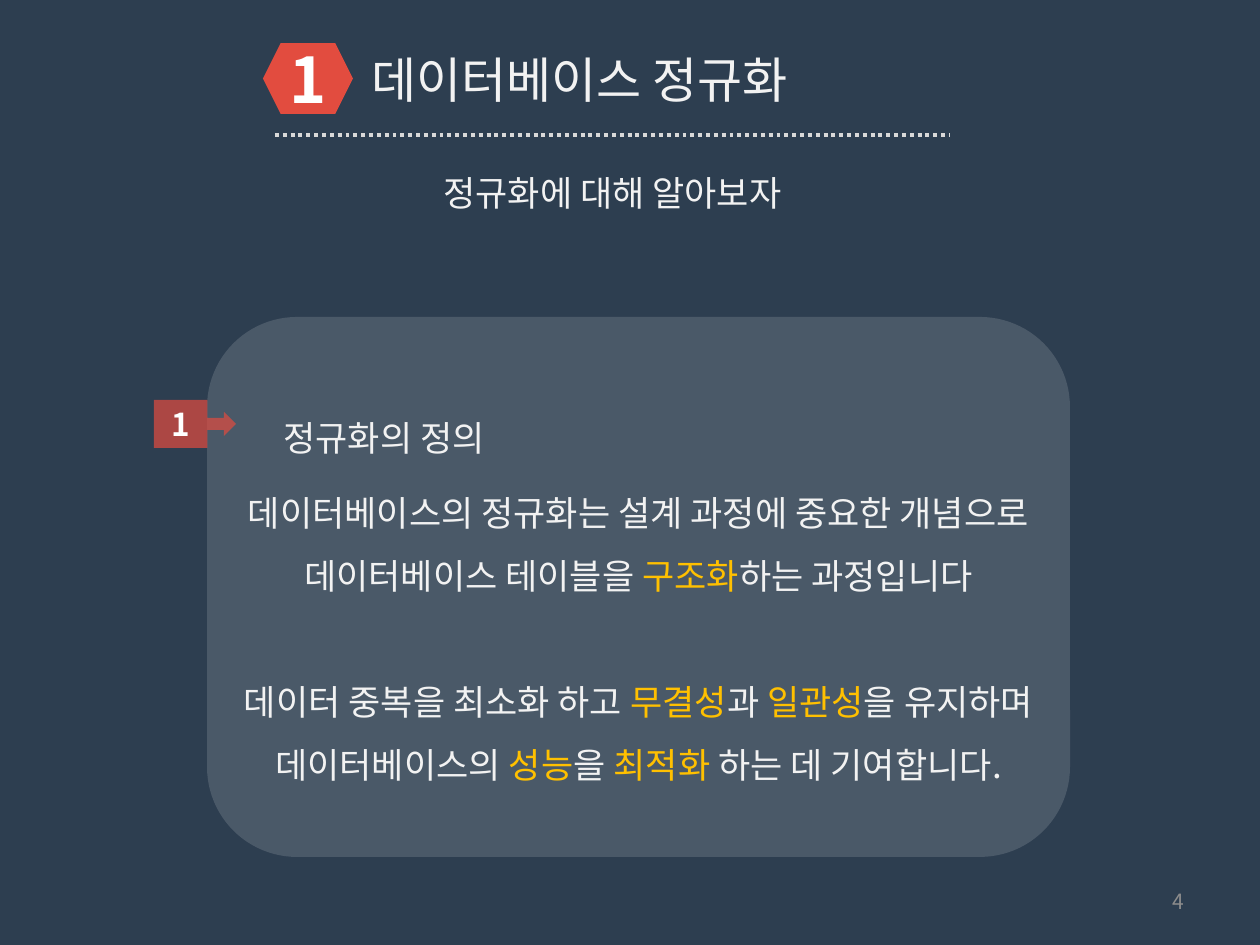
"""Build the slide that defines database normalization."""
from lxml import etree
from pptx import Presentation, util as u
from pptx.dml.color import RGBColor
from pptx.enum import dml, shapes, text
from pptx.oxml.ns import qn

FACE = "Noto Sans CJK KR"
HUES = {"back": "2D3E50", "red": "E24C3F", "white": "FFFFFF", "pale": "F2F2F2",
        "gold": "FFC000", "rule": "D9D9D9", "gray": "8C8C8C"}
KIND, SIDE = shapes.MSO_SHAPE, text.PP_ALIGN
MID, TOP = text.MSO_ANCHOR.MIDDLE, text.MSO_ANCHOR.TOP
WIDE, HIGH = 1260, 945
RULE = (275, 135, 950, 135)

BADGE = {"size": 36, "hue": "white", "bold": True, "align": SIDE.CENTER, "anchor": MID}
TITLE = {"size": 28}
LEAD = {"size": 20, "align": SIDE.CENTER}
HEAD = {"size": 20, "lines": 1.5}
BODY = {**HEAD, "align": SIDE.CENTER, "anchor": MID, "gap": 36}
PAGE = {"size": 12, "hue": "gray", "align": SIDE.RIGHT, "anchor": MID}

DEFINE = [
    [("데이터베이스의 정규화는 설계 과정에 중요한 개념으로 데이터베이스 테이블을 ", "pale"),
     ("구조화", "gold"), ("하는 과정입니다", "pale")],
    [("데이터 중복을 최소화 하고 ", "pale"), ("무결성", "gold"), ("과 ", "pale"),
     ("일관성", "gold"), ("을 유지하며 데이터베이스의 ", "pale"), ("성능", "gold"),
     ("을 ", "pale"), ("최적화", "gold"), (" 하는 데 기여합니다.", "pale")],
]
FORMS = [
    (KIND.HEXAGON, (263, 43, 90, 71), "red", 100, "1", BADGE),
    (KIND.ROUNDED_RECTANGLE, (207, 317, 863, 540), "white", 14, None, None),
    (KIND.RIGHT_ARROW_CALLOUT, (154, 400, 82, 48), "red", 70, "1", {**BADGE, "size": 18}),
]
TEXTS = [
    ((359, 43, 665, 72), "데이터베이스 정규화", TITLE),
    ((280, 165, 665, 55), "정규화에 대해 알아보자", LEAD),
    ((271, 389, 606, 69), "정규화의 정의", HEAD),
    ((207, 466, 863, 324), DEFINE, BODY),
    ((903, 876, 294, 50), "4", PAGE),
]


def px(*nums):
    return [u.Emu(round(n * 914400 / 126)) for n in nums]


def color(name):
    return RGBColor.from_string(HUES[name])


def write(shape, words, form):
    frame = shape.text_frame
    frame.word_wrap = True
    frame.vertical_anchor = form.get("anchor", TOP)
    paras = [[(words, form.get("hue", "pale"))]] if isinstance(words, str) else words
    for i, runs in enumerate(paras):
        para = frame.add_paragraph() if i else frame.paragraphs[0]
        para.alignment = form.get("align", SIDE.LEFT)
        para.line_spacing = form.get("lines", 1.0)
        if i:
            para.space_before = u.Pt(form["gap"])
        for part, hue in runs:
            run = para.add_run()
            run.text = part
            font = {"name": FACE, "size": u.Pt(form["size"]), "bold": form.get("bold", False)}
            for key, val in font.items():
                setattr(run.font, key, val)
            run.font.color.rgb = color(hue)
            etree.SubElement(run.font._element, qn("a:ea"), typeface=FACE)


def draw(slide, kind, box, hue, alpha, words, form):
    shape = slide.shapes.add_shape(kind, *px(*box))
    shape.shadow.inherit = False
    shape.fill.solid()
    shape.fill.fore_color.rgb = color(hue)
    shape.line.fill.background()
    if alpha < 100:
        tint = shape._element.spPr.find(".//" + qn("a:srgbClr"))
        etree.SubElement(tint, qn("a:alpha"), val=str(alpha * 1000))
    if words:
        write(shape, words, form)


def main():
    deck = Presentation()
    deck.slide_width, deck.slide_height = px(WIDE, HIGH)
    slide = deck.slides.add_slide(deck.slide_layouts[6])
    slide.background.fill.solid()
    slide.background.fill.fore_color.rgb = color("back")
    for form in FORMS:
        draw(slide, *form)
    rule = slide.shapes.add_connector(shapes.MSO_CONNECTOR.STRAIGHT, *px(*RULE))
    rule.line.color.rgb = color("rule")
    rule.line.width = u.Pt(2.25)
    rule.line.dash_style = dml.MSO_LINE.ROUND_DOT
    etree.SubElement(rule._element.spPr, qn("a:effectLst"))
    for box, words, form in TEXTS:
        write(slide.shapes.add_textbox(*px(*box)), words, form)
    deck.save("out.pptx")


if __name__ == "__main__":
    main()
